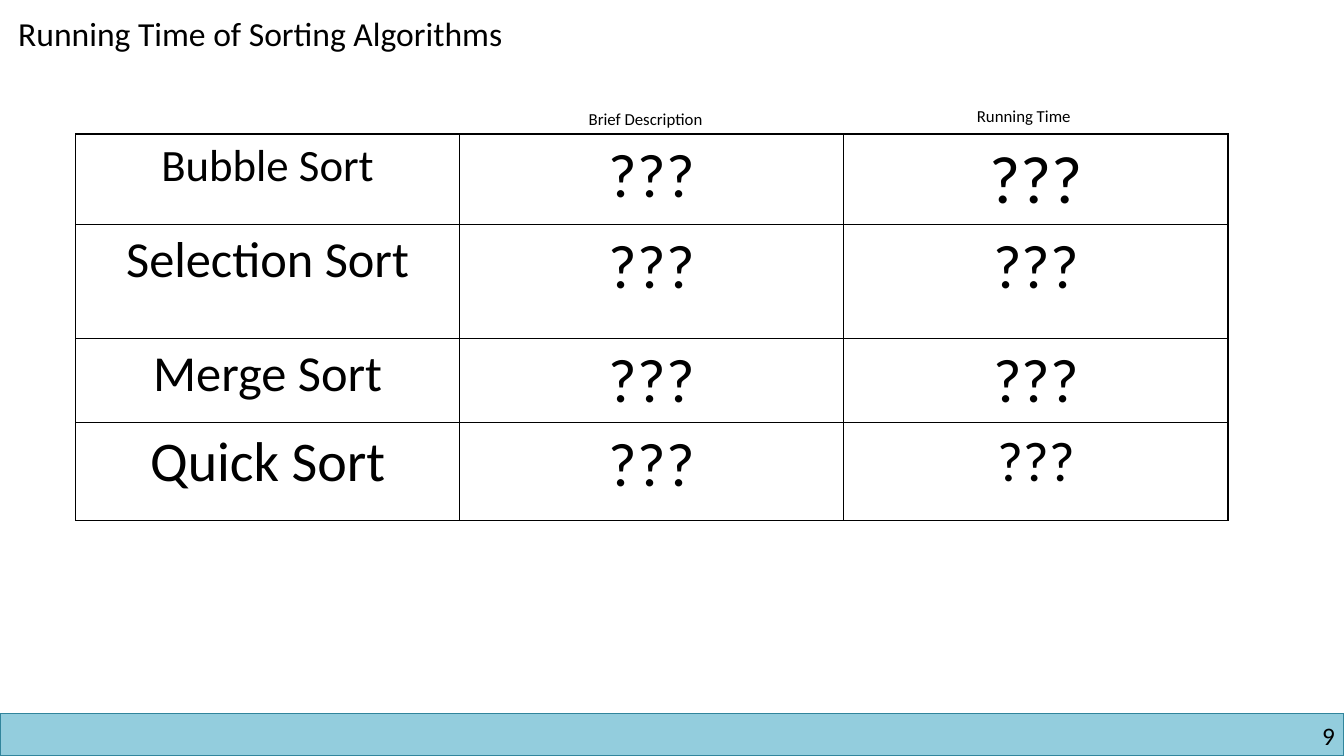
import pptx
import pptx.dml.color
import pptx.enum.shapes
import pptx.enum.text
import pptx.oxml
import pptx.oxml.ns
import pptx.util
from dataclasses import dataclass

Inches = pptx.util.Inches
Align = pptx.enum.text.PP_ALIGN
Anchor = pptx.enum.text.MSO_ANCHOR

TITLE = "Running Time of Sorting Algorithms"
PAGE_NUMBER = "9"
# Heading, left, top
COLUMN_HEADINGS = [("Brief Description", 5.74, 1.03), ("Running Time", 9.59, 1.0)]
UNKNOWN = "???"
# Algorithm, row height, type sizes of name, description and running time
ALGORITHMS = [
    ("Bubble Sort", 0.9, (32, 44, 48)),
    ("Selection Sort", 1.13, (36, 44, 44)),
    ("Merge Sort", 0.83, (36, 44, 44)),
    ("Quick Sort", 0.97, (40, 44, 40)),
]

SLIDE_WIDTH, SLIDE_HEIGHT = 13.33, 7.5
FOOTER_HEIGHT = 0.42
TABLE_LEFT, TABLE_TOP, COLUMN_WIDTH = 0.75, 1.33, 3.81
COLUMN_COUNT = 3


@dataclass(frozen=True)
class Theme:
    font: str = "Calibri"
    ink: str = "000000"
    paper: str = "FFFFFF"
    footer_fill: str = "93CDDD"
    footer_line: str = "31859C"
    title_size: int = 24
    heading_size: int = 12
    page_size: int = 18


THEME = Theme()


def rgb(value):
    return pptx.dml.color.RGBColor.from_string(value)


def write(frame, text, *, size, align=Align.LEFT):
    paragraph = frame.paragraphs[0]
    paragraph.text = text
    paragraph.alignment = align
    paragraph.font.size = pptx.util.Pt(size)
    paragraph.font.name = THEME.font
    paragraph.font.color.rgb = rgb(THEME.ink)


def add_label(slide, text, box, **text_format):
    frame = slide.shapes.add_textbox(*map(Inches, box)).text_frame
    write(frame, text, **text_format)
    return frame


def outline_cell(cell):
    """Draw a one-point line on all four sides; call before setting the fill."""
    properties = cell._tc.get_or_add_tcPr()
    for side in ("lnL", "lnR", "lnT", "lnB"):
        properties.append(pptx.oxml.parse_xml(
            f'<a:{side} {pptx.oxml.ns.nsdecls("a")} w="12700">'
            f'<a:solidFill><a:srgbClr val="{THEME.ink}"/></a:solidFill></a:{side}>'))


def add_title(slide):
    title = slide.shapes.title
    title.left, title.top, title.width, title.height = map(Inches, (0.08, 0.08, 5.52, 0.5))
    frame = title.text_frame
    frame.auto_size = pptx.enum.text.MSO_AUTO_SIZE.NONE
    frame.word_wrap = False
    frame.vertical_anchor = Anchor.TOP
    write(frame, TITLE, size=THEME.title_size)


def add_footer(slide):
    top = SLIDE_HEIGHT - FOOTER_HEIGHT
    band = slide.shapes.add_shape(
        pptx.enum.shapes.MSO_SHAPE.RECTANGLE,
        *map(Inches, (0, top, SLIDE_WIDTH, FOOTER_HEIGHT)))
    band.shadow.inherit = False
    band.fill.solid()
    band.fill.fore_color.rgb = rgb(THEME.footer_fill)
    band.line.color.rgb = rgb(THEME.footer_line)
    band.line.width = pptx.util.Pt(1)
    page = add_label(slide, PAGE_NUMBER, (10.17, 7.15, 3.07, 0.3),
                     size=THEME.page_size, align=Align.RIGHT)
    page.word_wrap = True
    page.margin_left = page.margin_right = page.margin_top = page.margin_bottom = 0


def add_algorithm_table(slide):
    table_height = sum(height for _, height, _ in ALGORITHMS)
    table = slide.shapes.add_table(
        len(ALGORITHMS), COLUMN_COUNT, Inches(TABLE_LEFT), Inches(TABLE_TOP),
        Inches(COLUMN_WIDTH * COLUMN_COUNT), Inches(table_height)).table
    table.first_row = table.horz_banding = False
    for column in table.columns:
        column.width = Inches(COLUMN_WIDTH)
    for row, (algorithm, height, sizes) in zip(table.rows, ALGORITHMS):
        row.height = Inches(height)
        for cell, text, size in zip(row.cells, (algorithm, UNKNOWN, UNKNOWN), sizes):
            outline_cell(cell)
            cell.fill.solid()
            cell.fill.fore_color.rgb = rgb(THEME.paper)
            write(cell.text_frame, text, size=size, align=Align.CENTER)


def main():
    deck = pptx.Presentation()
    deck.slide_width, deck.slide_height = Inches(SLIDE_WIDTH), Inches(SLIDE_HEIGHT)
    slide = deck.slides.add_slide(deck.slide_layouts.get_by_name("Title Only"))
    add_footer(slide)
    add_title(slide)
    add_algorithm_table(slide)
    for heading, left, top in COLUMN_HEADINGS:
        frame = add_label(slide, heading, (left, top, 1.35, 0.3), size=THEME.heading_size)
        frame.word_wrap = False
    deck.save("out.pptx")


if __name__ == "__main__":
    main()
